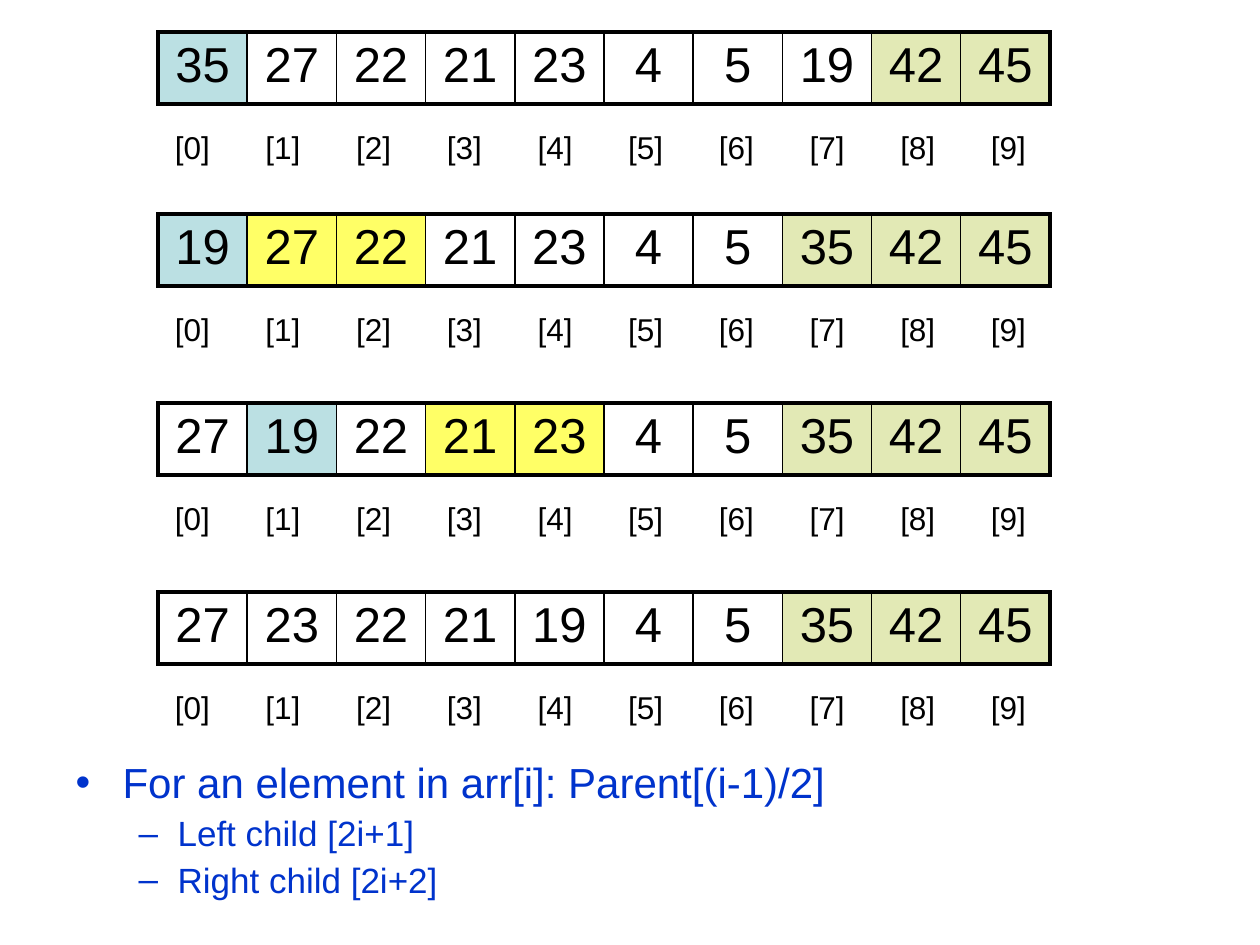
from lxml import etree
from pptx import Presentation
from pptx import util as u
from pptx.dml.color import RGBColor
from pptx.enum import text
from pptx.oxml import ns

PX = u.Inches(1) / 126
BLACK = RGBColor(0x00, 0x00, 0x00)
BLUE = RGBColor(0x00, 0x33, 0xCC)
MOVED = RGBColor(0xBB, 0xE0, 0xE3)
CHILD = RGBColor(0xFF, 0xFF, 0x66)
SORTED = RGBColor(0xE2, 0xE9, 0xB5)
NO_GRID_STYLE = "{2D5ABB26-0587-4C30-8999-92F81FD0307C}"


def px(length):
    return u.Emu(round(length * PX))


def add_row(page, left, top, width, height, words, size, anchor):
    """Add a one-row table of equal, unfilled cells and return its cells."""
    count = len(words)
    table = page.shapes.add_table(1, count, px(left), px(top), px(width), px(height)).table
    table.first_row = table.horz_banding = False
    table._tbl.tblPr.find(ns.qn("a:tableStyleId")).text = NO_GRID_STYLE
    for column, cell, word in zip(table.columns, table.iter_cells(), words):
        column.width = px(width / count)
        cell.fill.background()
        cell.vertical_anchor = anchor
        para = cell.text_frame.paragraphs[0]
        para.alignment = text.PP_ALIGN.CENTER
        span = para.add_run()
        span.text = word
        span.font.name = "Arial"
        span.font.size = u.Pt(size)
        span.font.color.rgb = BLACK
    return list(table.iter_cells())


deck = Presentation()
deck.slide_width, deck.slide_height = px(1260), px(945)
page = deck.slides.add_slide(deck.slide_layouts[1])
title = page.shapes.title
title.element.getparent().remove(title.element)

# Heap steps: top, values, position of the moved element, its children, start of the sorted part
steps = [
    (32, [35, 27, 22, 21, 23, 4, 5, 19, 42, 45], 0, [], 8),
    (214, [19, 27, 22, 21, 23, 4, 5, 35, 42, 45], 0, [1, 2], 7),
    (403, [27, 19, 22, 21, 23, 4, 5, 35, 42, 45], 1, [3, 4], 7),
    (592, [27, 23, 22, 21, 19, 4, 5, 35, 42, 45], None, [], 7),
]
for top, values, moved, children, sorted_from in steps:
    cells = add_row(page, 158, top, 892, 72, [str(value) for value in values],
                    28, text.MSO_ANCHOR.TOP)
    last = len(cells) - 1
    for index, cell in enumerate(cells):
        # Thick frame around the array, thin lines between its cells
        properties = cell._tc.get_or_add_tcPr()
        widths = {"L": 2.25 if index == 0 else 1, "R": 2.25 if index == last else 1,
                  "T": 2.25, "B": 2.25}
        for place, (side, width) in enumerate(widths.items()):
            line = etree.Element(ns.qn("a:ln" + side), w=str(u.Pt(width)))
            fill = etree.SubElement(line, ns.qn("a:solidFill"))
            etree.SubElement(fill, ns.qn("a:srgbClr"), val=str(BLACK))
            properties.insert(place, line)
        # Colour by role
        if index >= sorted_from:
            color = SORTED
        elif index == moved:
            color = MOVED
        elif index in children:
            color = CHILD
        else:
            continue
        cell.fill.solid()
        cell.fill.fore_color.rgb = color

    # Index labels under the array
    add_row(page, 147, top + 92, 907, 50, [f"[{index}]" for index in range(len(values))],
            18, text.MSO_ANCHOR.MIDDLE)

# Parent and child rules
box = page.placeholders[1]
box.left, box.top, box.width, box.height = px(63), px(756), px(1134), px(158)
frame = box.text_frame
frame.word_wrap = True
frame.auto_size = text.MSO_AUTO_SIZE.NONE
frame.vertical_anchor = text.MSO_ANCHOR.TOP
rules = [
    ("For an element in arr[i]: Parent[(i-1)/2]", 0, "•", 24, 47, 47),
    ("Left child [2i+1]", 1, "–", 20, 102, 39),
    ("Right child [2i+2]", 1, "–", 20, 102, 39),
]
for number, (words, level, bullet, size, margin, hanging) in enumerate(rules):
    para = frame.add_paragraph() if number else frame.paragraphs[0]
    properties = para._p.get_or_add_pPr()
    properties.set("marL", str(px(margin)))
    properties.set("indent", str(px(-hanging)))
    etree.SubElement(properties, ns.qn("a:buChar"), char=bullet)
    para.level = level
    para.line_spacing = 0.9
    para.space_before = u.Pt(5 if number else 0)
    span = para.add_run()
    span.text = words
    span.font.name = "Arial"
    span.font.size = u.Pt(size)
    span.font.color.rgb = BLUE

deck.save("out.pptx")
